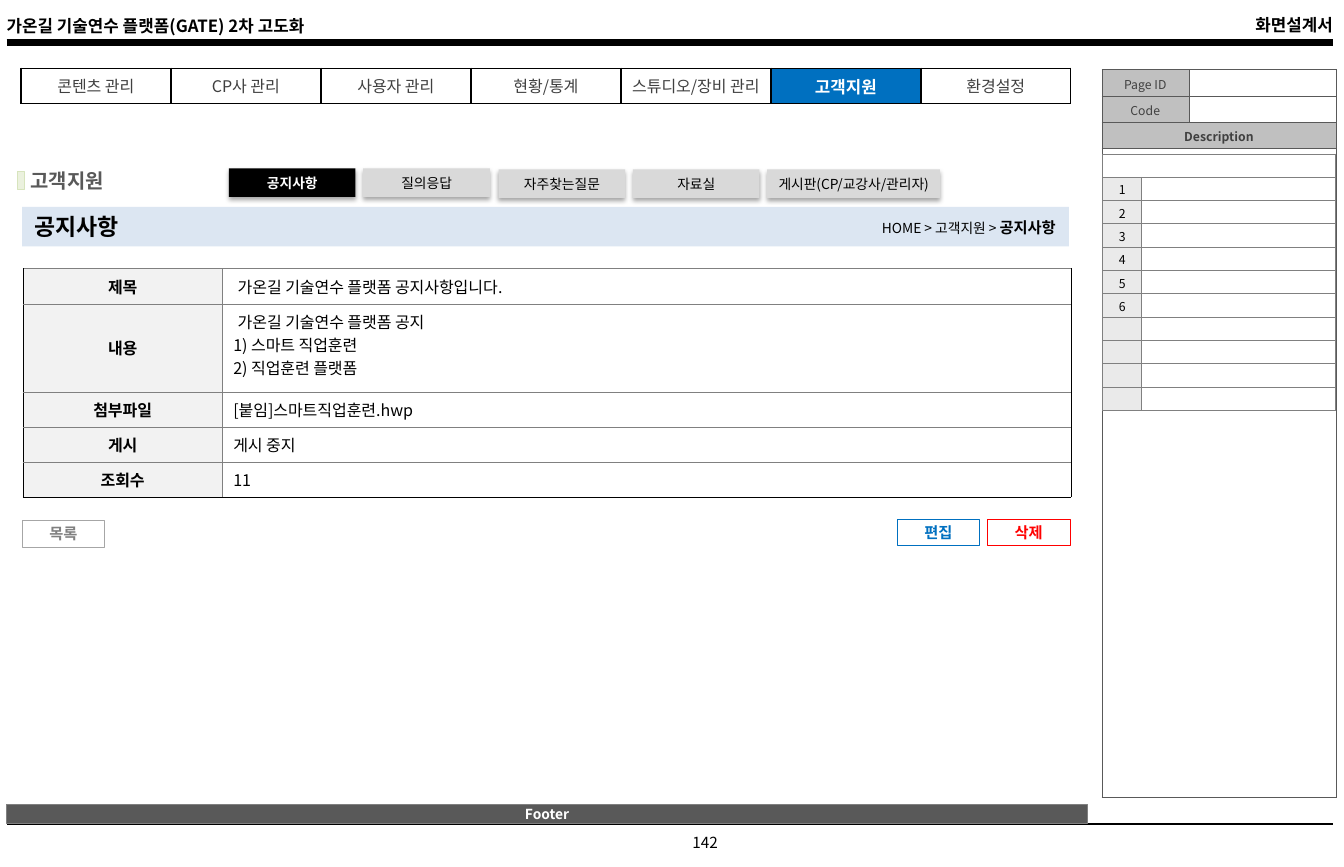
import pptx
import pptx.dml.color
import pptx.enum.shapes
import pptx.enum.text
import pptx.oxml
import pptx.oxml.ns
import pptx.util
from pptx.util import Inches

RGBColor = pptx.dml.color.RGBColor
BLACK = RGBColor(0x00, 0x00, 0x00)
WHITE = RGBColor(0xFF, 0xFF, 0xFF)
CHARCOAL = RGBColor(0x40, 0x40, 0x40)
DARK_GRAY = RGBColor(0x59, 0x59, 0x59)
GRAY = RGBColor(0x80, 0x80, 0x80)
MID_GRAY = RGBColor(0xA6, 0xA6, 0xA6)
HEADER_GRAY = RGBColor(0xC0, 0xC0, 0xC0)
TAB_GRAY = RGBColor(0xD9, 0xD9, 0xD9)
NUMBER_GRAY = RGBColor(0xEA, 0xEA, 0xEA)
LABEL_GRAY = RGBColor(0xF2, 0xF2, 0xF2)
BLUE = RGBColor(0x00, 0x70, 0xC0)
PALE_BLUE = RGBColor(0xDC, 0xE6, 0xF2)
RED = RGBColor(0xFF, 0x00, 0x00)
PALE_GREEN = RGBColor(0xEB, 0xF1, 0xDE)
GREEN = RGBColor(0xD7, 0xE4, 0xBD)

FONT = "Noto Sans CJK KR"
NAMESPACE = pptx.oxml.ns.nsdecls("a")
LEFT, CENTER, RIGHT = (pptx.enum.text.PP_ALIGN.LEFT, pptx.enum.text.PP_ALIGN.CENTER,
                       pptx.enum.text.PP_ALIGN.RIGHT)
MIDDLE = pptx.enum.text.MSO_ANCHOR.MIDDLE
TOP = pptx.enum.text.MSO_ANCHOR.TOP


def write_text(paragraph, text, size=10.5, color=BLACK, bold=False, align=LEFT, indent=0):
    paragraph.alignment = align
    if indent:
        paragraph._p.get_or_add_pPr().set("marL", str(Inches(indent)))
    if not text:
        paragraph._p.get_or_add_endParaRPr().set("sz", str(int(size * 100)))
        return
    run = paragraph.add_run()
    run.text = text
    run.font.size = pptx.util.Pt(size)
    run.font.bold = bold
    run.font.name = FONT
    run.font.color.rgb = color
    run.font._element.append(pptx.oxml.parse_xml(f'<a:ea {NAMESPACE} typeface="{FONT}"/>'))


def style_cell(cell, borders, width, fill=None, margins=(0.1, 0.05, 0.1, 0.05), anchor=MIDDLE):
    properties = cell._tc.get_or_add_tcPr()
    for side, color in zip("LRTB", borders):
        properties.append(pptx.oxml.parse_xml(
            f'<a:ln{side} {NAMESPACE} w="{pptx.util.Pt(width)}"><a:solidFill>'
            f'<a:srgbClr val="{color}"/></a:solidFill></a:ln{side}>'))
    if fill is None:
        cell.fill.background()
    else:
        cell.fill.solid()
        cell.fill.fore_color.rgb = fill
    cell.margin_left, cell.margin_top, cell.margin_right, cell.margin_bottom = map(Inches, margins)
    cell.vertical_anchor = anchor


presentation = pptx.Presentation()
presentation.slide_width = Inches(12.21)
presentation.slide_height = Inches(7.88)
slide = presentation.slides.add_slide(presentation.slide_layouts[5])
shapes = slide.shapes

# Page title bar
title = shapes.title
title.left, title.top, title.width, title.height = map(Inches, (0.2, 1.88, 9.51, 0.36))
title.fill.solid()
title.fill.fore_color.rgb = PALE_BLUE
title_frame = title.text_frame
title_frame.auto_size = pptx.enum.text.MSO_AUTO_SIZE.NONE
title_frame.vertical_anchor = MIDDLE
title_frame.margin_left = Inches(0.11)
title_frame.margin_top = title_frame.margin_bottom = 0
write_text(title_frame.paragraphs[0], "공지사항", size=15, bold=True)

# Header and page number rules
for y, weight in ((0.39, 4.5), (7.49, 1)):
    rule = shapes.add_connector(pptx.enum.shapes.MSO_CONNECTOR.STRAIGHT,
                                Inches(0.06), Inches(y), Inches(12.11), Inches(y))
    rule.line.color.rgb = BLACK
    rule.line.width = pptx.util.Pt(weight)
    rule._element.spPr.append(pptx.oxml.parse_xml(f"<a:effectLst {NAMESPACE}/>"))

# Text boxes: place, alignment, runs
text_boxes = [
    ((0.06, 0.09, 5, 0.29), LEFT, [("가온길 기술연수 플랫폼(GATE) 2차 고도화", 11, BLACK, True)]),
    ((7.11, 0.08, 5, 0.29), RIGHT, [("화면설계서", 11, BLACK, True)]),
    ((5.83, 7.52, 1.15, 0.27), CENTER, [("142", 10, BLACK, False)]),
    ((0.28, 1.48, 1.47, 0.33), LEFT, [("고객지원", 13, DARK_GRAY, True)]),
    ((6.42, 1.93, 3.17, 0.28), RIGHT, [("HOME > 고객지원 > ", 9, BLACK, False),
                                       ("공지사항", 10, BLACK, True)]),
]
for place, align, runs in text_boxes:
    frame = shapes.add_textbox(*map(Inches, place)).text_frame
    frame.word_wrap = True
    frame.vertical_anchor = MIDDLE
    frame.margin_left = frame.margin_top = frame.margin_right = frame.margin_bottom = 0
    for text, size, color, bold in runs:
        write_text(frame.paragraphs[0], text, size=size, color=color, bold=bold, align=align)

# Boxes: place, fill, line, line width, text, size, text colour, bold, shadow
boxes = [
    ((0.16, 1.56, 0.06, 0.16), PALE_GREEN, GREEN, 0.75, "", 9, BLACK, False, False),
    ((0.06, 7.31, 9.82, 0.17), DARK_GRAY, GRAY, 0.25, "Footer", 9, WHITE, True, False),
    ((2.08, 1.53, 1.15, 0.26), BLACK, None, 0, "공지사항", 9, WHITE, True, True),
]
tabs = [(3.3, 1.53, 1.15, "질의응답"), (4.53, 1.54, 1.15, "자주찾는질문"),
        (5.75, 1.54, 1.15, "자료실"), (6.97, 1.54, 1.57, "게시판(CP/교강사/관리자)")]
for left, top, width, text in tabs:
    boxes.append(((left, top, width, 0.26), TAB_GRAY, None, 0, text, 9, BLACK, False, True))
buttons = [(0.2, 4.73, "목록", MID_GRAY, GRAY), (8.15, 4.72, "편집", BLUE, BLUE),
           (8.97, 4.72, "삭제", RED, RED)]
for left, top, text, line, color in buttons:
    boxes.append(((left, top, 0.75, 0.24), None, line, 0.25, text, 10, color, True, False))

for place, fill, line, line_width, text, size, color, bold, shadow in boxes:
    box = shapes.add_shape(pptx.enum.shapes.MSO_SHAPE.RECTANGLE, *map(Inches, place))
    box.shadow.inherit = False
    if fill is None:
        box.fill.background()
    else:
        box.fill.solid()
        box.fill.fore_color.rgb = fill
    if line is None:
        box.line.fill.background()
    else:
        box.line.color.rgb = line
        box.line.width = pptx.util.Pt(line_width)
    if shadow:
        box._element.spPr.find(pptx.oxml.ns.qn("a:effectLst")).append(pptx.oxml.parse_xml(
            f'<a:outerShdw {NAMESPACE} blurRad="{pptx.util.Pt(3.1)}" dist="{pptx.util.Pt(1.8)}" '
            'dir="5400000" algn="t" rotWithShape="0"><a:srgbClr val="000000">'
            '<a:alpha val="35000"/></a:srgbClr></a:outerShdw>'))
    frame = box.text_frame
    frame.word_wrap = True
    frame.vertical_anchor = MIDDLE
    frame.margin_left = frame.margin_top = frame.margin_right = frame.margin_bottom = 0
    write_text(frame.paragraphs[0], text, size=size, color=color, bold=bold, align=CENTER)

# Tables: left, top, column widths, row heights
table_grids = [
    (0.19, 0.62, [9.54 / 7] * 7, [0.32]),
    (10.01, 0.63, [0.79, 1.34], [0.24] * 3 + [5.9]),
    (10.02, 1.4, [0.35, 1.76], [2.33 / 11] * 11),
    (0.21, 2.44, [1.81, 7.71], [0.32, 0.8, 0.32, 0.32, 0.32]),
]
tables = []
for left, top, widths, heights in table_grids:
    table = shapes.add_table(len(heights), len(widths), Inches(left), Inches(top),
                             Inches(sum(widths)), Inches(sum(heights))).table
    table.first_row = table.horz_banding = False
    for column, width in zip(table.columns, widths):
        column.width = Inches(width)
    for row, height in zip(table.rows, heights):
        row.height = Inches(height)
    tables.append(table)
menu_table, page_table, description_table, notice_table = tables

# Main menu
menu = ["콘텐츠 관리", "CP사 관리", "사용자 관리", "현황/통계", "스튜디오/장비 관리", "고객지원", "환경설정"]
for cell, text in zip(menu_table.iter_cells(), menu):
    active = text == "고객지원"
    style_cell(cell, [BLACK] * 4, 1, BLUE if active else None, (0.04, 0.04, 0.04, 0.04))
    write_text(cell.text_frame.paragraphs[0], text, size=11 if active else 10.5,
               color=WHITE if active else CHARCOAL, bold=active, align=CENTER)

# Page information panel
page_labels = ["Page ID", "", "Code", "", "Description", "", "", ""]
for cell, text in zip(page_table.iter_cells(), page_labels):
    style_cell(cell, [DARK_GRAY] * 4, 0.25, HEADER_GRAY if text else None,
               (0.11, 0.05, 0.11, 0.02), TOP)
    write_text(cell.text_frame.paragraphs[0], text, size=8, color=CHARCOAL,
               bold=text == "Description", align=CENTER)
for row in (2, 3):
    page_table.cell(row, 0).merge(page_table.cell(row, 1))

# Numbered description rows
for index, cell in enumerate(description_table.iter_cells()):
    row, column = divmod(index, 2)
    numbered = column == 0 and 1 <= row <= 6
    style_cell(cell, [GRAY] * 4, 0.75, NUMBER_GRAY if row and column == 0 else WHITE,
               (0.11, 0.03, 0.11, 0.01), TOP)
    write_text(cell.text_frame.paragraphs[0], str(row) if numbered else "", size=8, align=CENTER)
description_table.cell(0, 0).merge(description_table.cell(0, 1))

# Notice details: label, lines, indent of the first line
notice = [
    ("제목", ["가온길 기술연수 플랫폼 공지사항입니다."], 0.04),
    ("내용", ["가온길 기술연수 플랫폼 공지", "1) 스마트 직업훈련", "2) 직업훈련 플랫폼"], 0.04),
    ("첨부파일", ["[붙임]스마트직업훈련.hwp"], 0),
    ("게시", ["게시 중지"], 0),
    ("조회수", ["11"], 0),
]
for row, (label, lines, indent) in enumerate(notice):
    label_cell, value_cell = notice_table.cell(row, 0), notice_table.cell(row, 1)
    bottom = BLACK if row == len(notice) - 1 else GRAY
    style_cell(label_cell, [BLACK, GRAY, GRAY, bottom], 0.25, LABEL_GRAY)
    style_cell(value_cell, [GRAY, BLACK, GRAY, bottom], 0.25,
               margins=(0.1, 0.05, 0.1, 0.11 if len(lines) > 1 else 0.05))
    write_text(label_cell.text_frame.paragraphs[0], label, bold=True, align=CENTER)
    frame = value_cell.text_frame
    for number, line in enumerate(lines):
        paragraph = frame.add_paragraph() if number else frame.paragraphs[0]
        write_text(paragraph, line, indent=0 if number else indent)

presentation.save("out.pptx")
